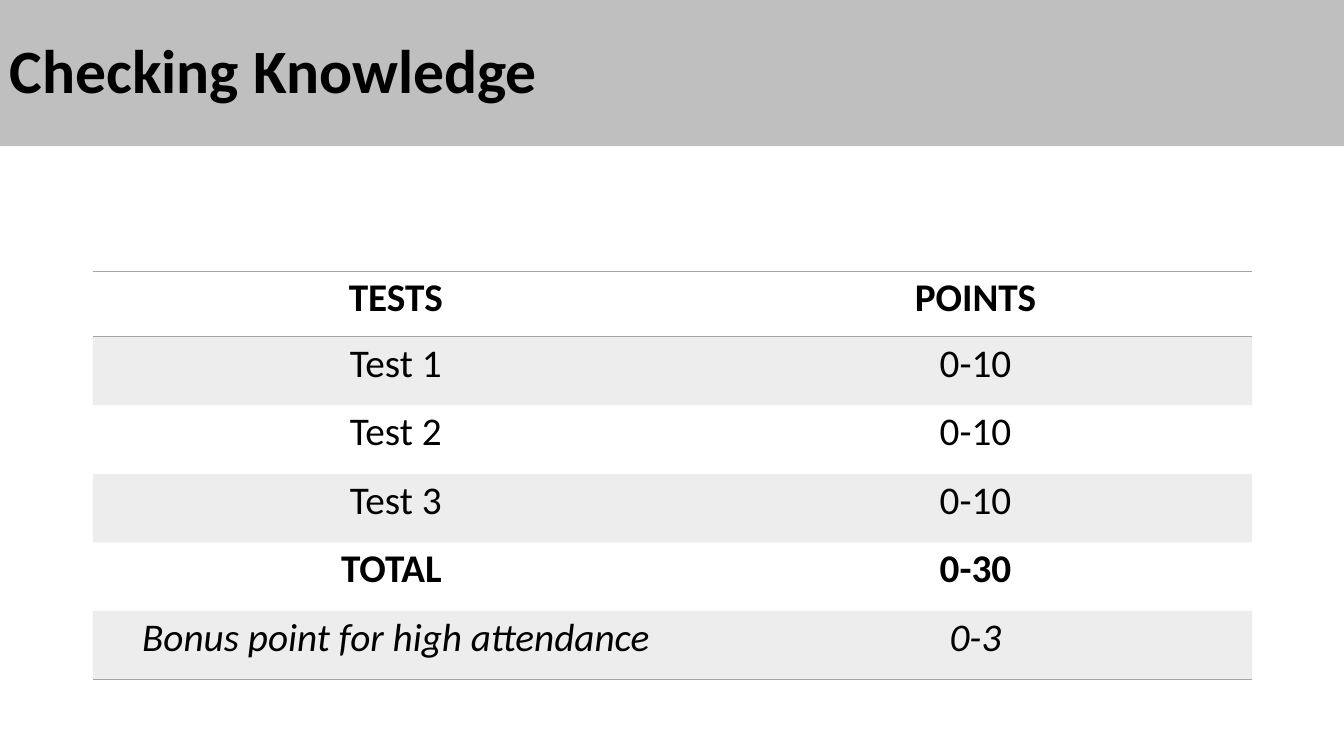
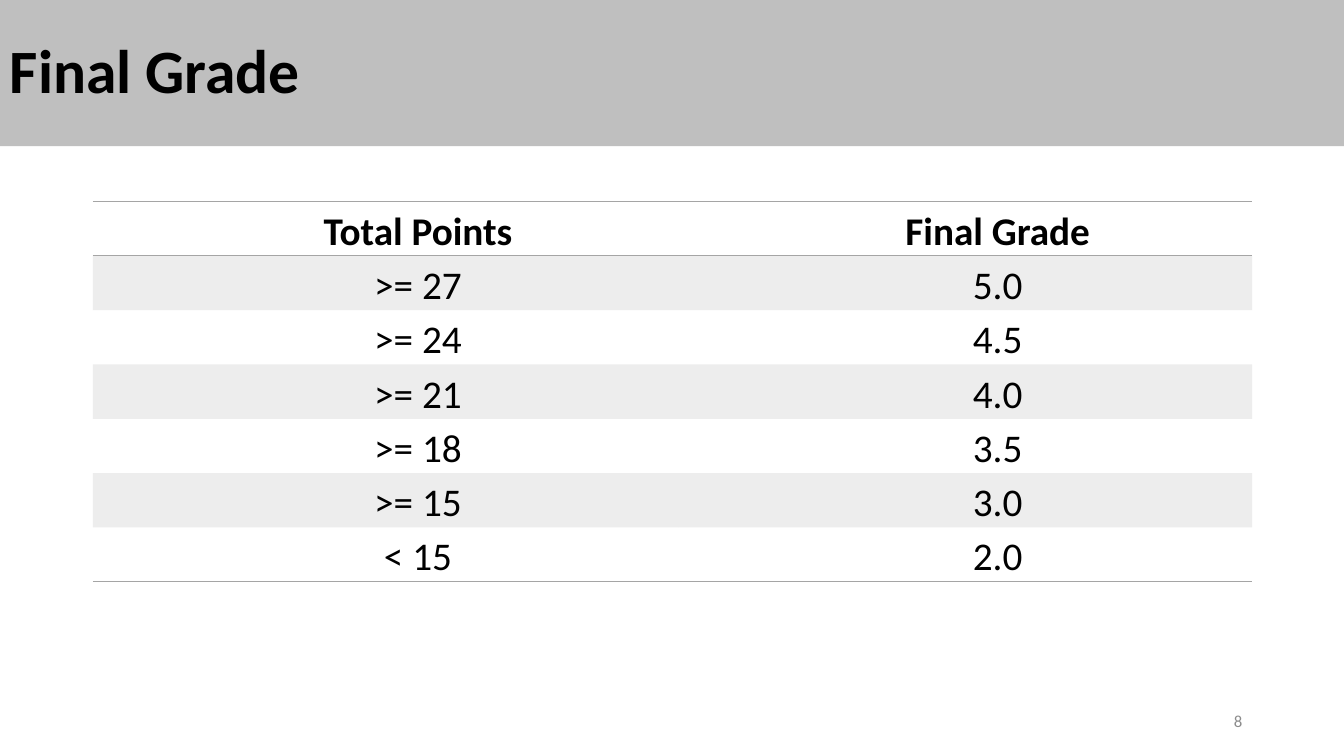
"""Build two course slides: test points and final grades."""
import pptx
import pptx.dml.color
import pptx.enum.shapes
import pptx.enum.text
import pptx.oxml
import pptx.oxml.ns
import pptx.util

PX = 9144
FONT = "Calibri"
BLACK, BAND, GRAY, NUMBER = "000000", "BFBFBF", "A5A5A5", "8C8C8C"
NO_STYLE = "{2D5ABB26-0587-4C30-8999-92F81FD0307C}"
ALIGN = pptx.enum.text.PP_ALIGN
MIDDLE = pptx.enum.text.MSO_ANCHOR.MIDDLE
SLIDE_W, SLIDE_H, BAND_H = 1333, 750, 145
TABLE_LEFT = 92

SLIDES = [
    {
        "title": "Checking Knowledge",
        "top": 269, "cols": [601, 549], "head_h": 65, "row_h": 68,
        "margins": (23, 0), "indent": (0, 0), "after": 8,
        "rows": [
            ("TESTS", "POINTS"),
            ("Test 1", "0-10"),
            ("Test 2", "0-10"),
            ("Test 3", "0-10"),
            ("TOTAL ", "0-30"),
            ("Bonus point for high attendance", "0-3"),
        ],
        "bold": {0, 4}, "italic": {5}, "number": None,
    },
    {
        "title": "Final Grade",
        "top": 200, "cols": [581, 569], "head_h": 53, "row_h": 53,
        "margins": (21, 3), "indent": (89, -25), "after": 0,
        "rows": [
            ("Total Points", "Final Grade"),
            (">= 27", "5.0"),
            (">= 24", "4.5"),
            (">= 21", "4.0"),
            (">= 18", "3.5"),
            (">= 15", "3.0"),
            ("< 15", "2.0"),
        ],
        "bold": {0}, "italic": set(), "number": "8",
    },
]


def px(n):
    return pptx.util.Emu(n * PX)


def rgb(value):
    return pptx.dml.color.RGBColor.from_string(value)


def add_run(p, text, size, color=BLACK, bold=False, italic=False):
    r = p.add_run()
    r.text = text
    r.font.name, r.font.size = FONT, pptx.util.Pt(size)
    r.font.bold, r.font.italic = bold, italic
    r.font.color.rgb = rgb(color)


def add_title(s, text):
    sp = s.shapes.add_shape(pptx.enum.shapes.MSO_SHAPE.RECTANGLE,
                            0, 0, px(SLIDE_W), px(BAND_H))
    sp.shadow.inherit = False
    sp.fill.solid()
    sp.fill.fore_color.rgb = rgb(BAND)
    sp.line.fill.background()
    tf = sp.text_frame
    tf.word_wrap, tf.vertical_anchor = True, MIDDLE
    p = tf.paragraphs[0]
    p.alignment, p.line_spacing = ALIGN.LEFT, 0.9
    add_run(p, text, 44, bold=True)


def add_number(s, text):
    sp = s.shapes.add_textbox(px(942), px(695), px(300), px(40))
    tf = sp.text_frame
    tf.word_wrap, tf.vertical_anchor = True, MIDDLE
    p = tf.paragraphs[0]
    p.alignment = ALIGN.RIGHT
    add_run(p, text, 12, NUMBER)


def add_border(cell, side):
    ns = pptx.oxml.ns.nsdecls("a")
    cell._tc.get_or_add_tcPr().append(pptx.oxml.parse_xml(
        f'<a:{side} {ns} w="12700"><a:solidFill><a:srgbClr val="{GRAY}"/>'
        f'</a:solidFill></a:{side}>'))


def shade(cell):
    cell.fill.solid()
    cell.fill.fore_color.rgb = rgb(GRAY)
    color = cell._tc.tcPr.find(".//" + pptx.oxml.ns.qn("a:solidFill") + "[last()]")
    color = cell._tc.tcPr.findall(pptx.oxml.ns.qn("a:solidFill"))[0][0]
    color.append(pptx.oxml.parse_xml(
        f'<a:alpha {pptx.oxml.ns.nsdecls("a")} val="20000"/>'))


def fill_cell(cell, text, row, spec_):
    last = len(spec_["rows"]) - 1
    side, top = spec_["margins"]
    cell.margin_left = cell.margin_right = px(side)
    cell.margin_top, cell.margin_bottom = px(top), 0
    if row == 0:
        add_border(cell, "lnT")
    if row in (0, last):
        add_border(cell, "lnB")
    if row % 2:
        shade(cell)
    else:
        cell.fill.background()
    p = cell.text_frame.paragraphs[0]
    p.alignment, p.line_spacing = ALIGN.CENTER, 1.07
    p.space_after = pptx.util.Pt(spec_["after"])
    for name, n in zip(("marL", "indent"), spec_["indent"]):
        p._p.get_or_add_pPr().set(name, str(px(n)))
    add_run(p, text, 28, bold=row in spec_["bold"], italic=row in spec_["italic"])


def add_grid(s, data):
    rows, cols = data["rows"], data["cols"]
    heights = [data["head_h"]] + [data["row_h"]] * (len(rows) - 1)
    table = s.shapes.add_table(len(rows), len(cols), px(TABLE_LEFT), px(data["top"]),
                               px(sum(cols)), px(sum(heights))).table
    table.first_row = table.horz_banding = False
    table._tbl.tblPr.find(pptx.oxml.ns.qn("a:tableStyleId")).text = NO_STYLE
    for col, w in zip(table.columns, cols):
        col.width = px(w)
    for i, (texts, h) in enumerate(zip(rows, heights)):
        table.rows[i].height = px(h)
        for j, text in enumerate(texts):
            fill_cell(table.cell(i, j), text, i, data)


def main():
    prs = pptx.Presentation()
    prs.slide_width, prs.slide_height = px(SLIDE_W), px(SLIDE_H)
    for data in SLIDES:
        s = prs.slides.add_slide(prs.slide_layouts[6])
        add_title(s, data["title"])
        add_grid(s, data)
        if data["number"]:
            add_number(s, data["number"])
    prs.save("out.pptx")


if __name__ == "__main__":
    main()
